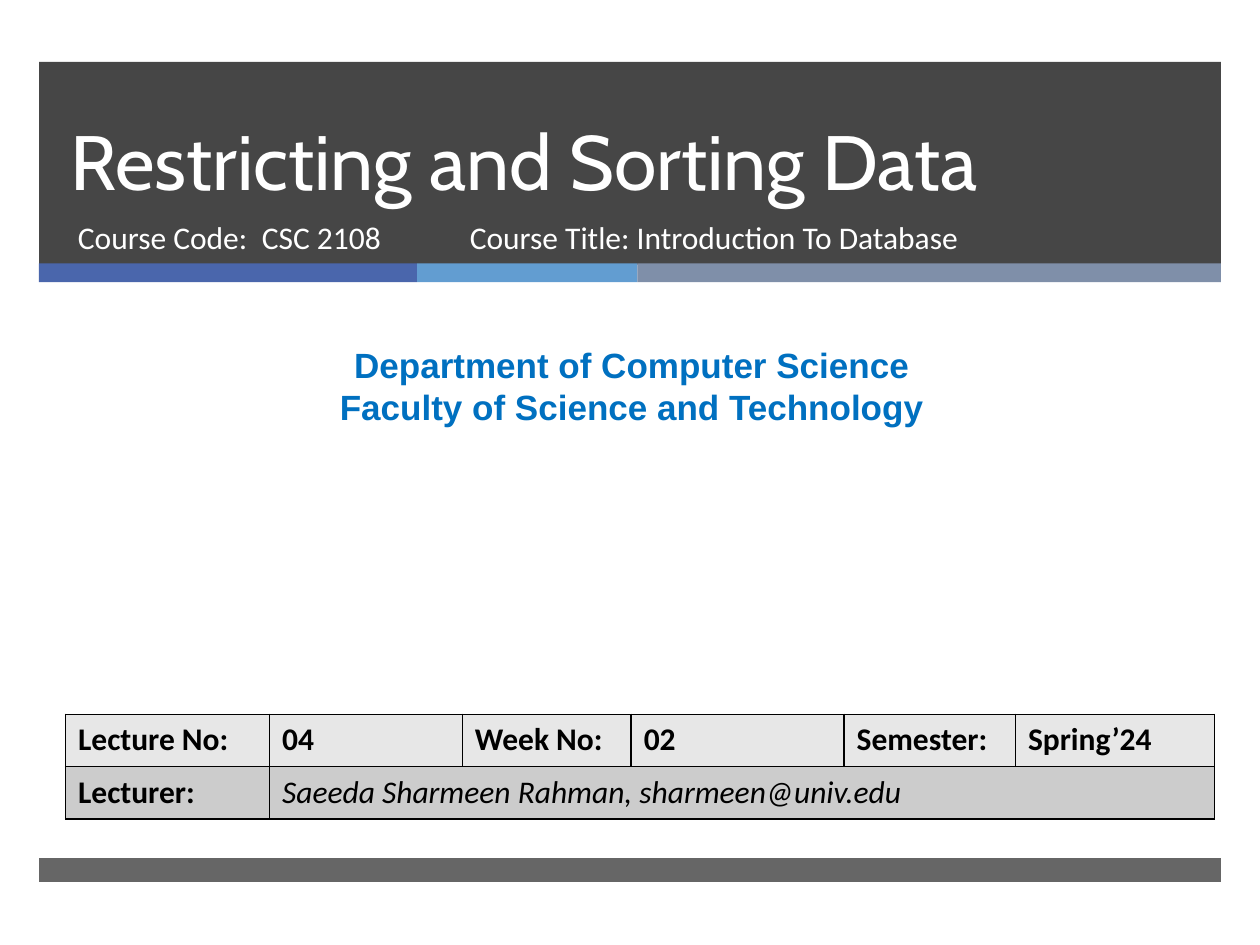
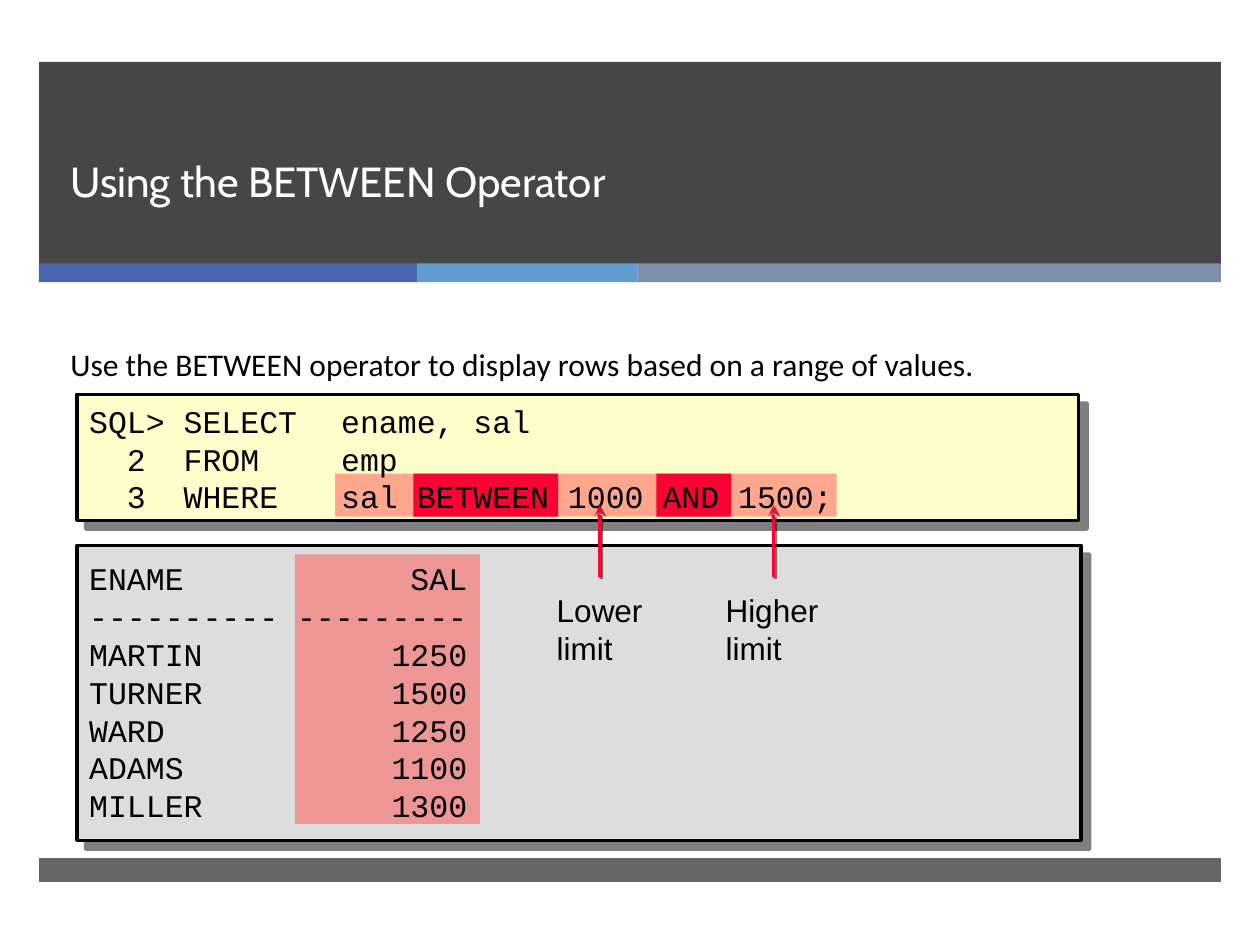
import pptx
import pptx.util
import pptx.dml.color
import pptx.enum.shapes
import pptx.enum.text
import pptx.oxml.ns
import lxml.etree

HUES = {
    "dark": "262626", "white": "FFFFFF", "black": "000000",
    "blue": "4A66AC", "sky": "629DD1", "slate": "7F8FA9", "dept": "0070C0",
    "pale": "E7E7E7", "grey": "CCCCCC", "cream": "FFFFCC", "ash": "DDDDDD",
    "pink": "FF5050", "red": "FF0033",
}
COLS, ROWS = 100, 75
LEAD = 1.2
qn = pptx.oxml.ns.qn


def node(base, tag, **attrs):
    return lxml.etree.SubElement(base, qn(tag), {k: str(v) for k, v in attrs.items()})


def tint(base, hue, share=100):
    color = node(node(base, "a:solidFill"), "a:srgbClr", val=HUES[hue])
    if share < 100:
        node(color, "a:alpha", val=share * 1000)


class Deck:
    def __init__(self):
        self.prs = pptx.Presentation()
        self.prs.slide_width = pptx.util.Inches(10)
        self.prs.slide_height = pptx.util.Inches(7.5)
        self.slide = None

    def x(self, col):
        return round(self.prs.slide_width * col / COLS)

    def y(self, row):
        return round(self.prs.slide_height * row / ROWS)

    def box(self, area):
        left, top, width, height = area
        return self.x(left), self.y(top), self.x(width), self.y(height)

    def rgb(self, hue):
        return pptx.dml.color.RGBColor.from_string(HUES[hue])

    def style(self, para, size, face, hue, bold=False, slant=False):
        font = para.font
        font.size, font.name = pptx.util.Pt(size), face
        font.bold, font.italic = bold, slant
        font.color.rgb = self.rgb(hue)

    def shade(self, item, gap):
        effect = node(item._element.spPr, "a:effectLst")
        drop = node(effect, "a:outerShdw", blurRad=0, dist=pptx.util.Pt(gap),
                    dir=45 * 60000, algn="ctr", rotWithShape=0)
        node(node(drop, "a:srgbClr", val=HUES["black"]), "a:alpha", val=50000)

    def rect(self, area, hue, share=100):
        item = self.slide.shapes.add_shape(
            pptx.enum.shapes.MSO_SHAPE.RECTANGLE, *self.box(area))
        item.shadow.inherit = False
        item.fill.solid()
        item.fill.fore_color.rgb = self.rgb(hue)
        if share < 100:
            color = item._element.spPr.find(qn("a:solidFill"))[0]
            node(color, "a:alpha", val=share * 1000)
        item.line.fill.background()
        return item

    def panel(self, area, hue):
        item = self.rect(area, hue)
        item.line.color.rgb = self.rgb("black")
        item.line.width = pptx.util.Pt(2)
        item.shadow.inherit = True
        self.shade(item, 7.1)

    def text(self, area, lines, size, face, hue, bold=False, lead=None,
             stops=(), center=False, low=False):
        frame = self.slide.shapes.add_textbox(*self.box(area)).text_frame
        frame.word_wrap = True
        if low:
            frame.vertical_anchor = pptx.enum.text.MSO_ANCHOR.BOTTOM
        frame.text = "\n".join(lines)
        for para in frame.paragraphs:
            if lead:
                para.line_spacing = pptx.util.Pt(lead)
            if center:
                para.alignment = pptx.enum.text.PP_ALIGN.CENTER
            if stops:
                tabs = node(para._p.get_or_add_pPr(), "a:tabLst")
                for col, side in stops:
                    node(tabs, "a:tab", pos=self.x(col), algn=side)
            self.style(para, size, face, hue, bold)

    def code(self, area, lines, stops):
        self.text(area, lines, 18, "Courier New", "black", lead=18 * LEAD, stops=stops)

    def arrow(self, col, start, end):
        line = self.slide.shapes.add_connector(
            pptx.enum.shapes.MSO_CONNECTOR.STRAIGHT,
            self.x(col), self.y(start), self.x(col), self.y(end))
        line.line.color.rgb = self.rgb("red")
        line.line.width = pptx.util.Pt(2)
        node(line.line._get_or_add_ln(), "a:tailEnd", type="stealth")
        self.shade(line, 1.4)

    def cell(self, cell, words, hue, slant=False):
        cell.text = words
        self.style(cell.text_frame.paragraphs[0], 18, "Calibri", "black", not slant, slant)
        self.edge(cell)
        cell.fill.solid()
        cell.fill.fore_color.rgb = self.rgb(hue)

    def edge(self, cell):
        props = cell._tc.get_or_add_tcPr()
        for side in ("a:lnL", "a:lnR", "a:lnT", "a:lnB"):
            tint(node(props, side, w=pptx.util.Pt(1)), "black")

    def table(self, area, widths, rows, hues):
        grid = self.slide.shapes.add_table(len(rows), len(widths), *self.box(area)).table
        grid.first_row = grid.horz_banding = False
        for col, width in zip(grid.columns, widths):
            col.width = self.x(width)
        for r, (row, hue) in enumerate(zip(rows, hues)):
            for c in range(len(widths)):
                words = row[c] if c < len(row) else ""
                self.cell(grid.cell(r, c), words, hue, slant=r == 1 and c > 0)
            if len(row) < len(widths):
                grid.cell(r, len(row) - 1).merge(grid.cell(r, len(widths) - 1))

    def page(self, title, size):
        self.slide = self.prs.slides.add_slide(self.prs.slide_layouts[6])
        self.rect((3.1, 4.9, 93.8, 16.1), "dark", 85)
        left = 3.1
        for hue, width in (("blue", 30), ("sky", 17.5), ("slate", 46.3)):
            self.rect((left, 20.9, width, 1.5), hue)
            left += width
        self.rect((3.1, 68.1, 93.8, 1.9), "dark", 70)
        self.text((4.6, 4.9, 85.4, 11.9), [title], size, "Cabin", "white",
                  lead=46, low=True)


def cover(deck):
    deck.page("Restricting and Sorting Data", 44)
    deck.text((5.2, 16.8, 30.5, 5.3), ["Course Code:\tCSC 2108"],
              18, "Calibri", "white", stops=[(14.6, "l")])
    deck.text((36.3, 16.8, 45.5, 5.3), ["Course Title: Introduction To Database"],
              18, "Calibri", "white")
    deck.text((0.8, 26.8, 98.7, 7.7),
              ["Department of Computer Science", "Faculty of Science and Technology"],
              20, "Arial", "dept", bold=True, lead=20 * LEAD, center=True)
    deck.table((5.2, 56.7, 91.2, 8.3), (16.2, 15.3, 13.4, 16.9, 13.6, 15.8),
               (("Lecture No:", "04", "Week No:", "02", "Semester:", "Spring’24"),
                ("Lecturer:", "Saeeda Sharmeen Rahman, sharmeen@univ.edu")),
               ("pale", "grey"))


def between(deck):
    deck.page("Using the BETWEEN Operator", 24)
    deck.text((4.6, 26.9, 81.2, 4),
              ["Use the BETWEEN operator to display rows based on a range of values."],
              18, "Calibri", "black")
    deck.panel((6.1, 31.3, 79.5, 10), "cream")
    deck.panel((6.1, 43.3, 79.7, 23.4), "ash")
    deck.rect((26.6, 37.6, 39.8, 3.4), "pink", 50)
    deck.rect((23.4, 44, 14.7, 21.4), "pink", 50)
    staff = (("ENAME", "SAL"), ("-" * 10, "-" * 9), ("MARTIN", "1250"),
             ("TURNER", "1500"), ("WARD", "1250"), ("ADAMS", "1100"), ("MILLER", "1300"))
    deck.code((6.1, 43.9, 79.7, 22.2), ["\t".join(row) for row in staff], [(30, "r")])
    for left, width in ((32.8, 11.5), (52.1, 5.9)):
        deck.rect((left, 37.6, width, 3.4), "red")
    deck.code((6.1, 31.4, 79.7, 10),
              ["SQL>\tSELECT\tename, sal", "\t2\tFROM\temp",
               "\t3\tWHERE\tsal BETWEEN 1000 AND 1500;"],
              [(3, "l"), (7.5, "l"), (20, "l")])
    for word, left, mid in (("Lower", 43.2, 47.6), ("Higher", 56.6, 61.4)):
        deck.text((left, 46.4, 9.9, 7), [word, "limit"], 18, "Arial", "black",
                  lead=18 * LEAD)
        deck.arrow(mid, 45.8, 40.1)


def main():
    deck = Deck()
    cover(deck)
    between(deck)
    deck.prs.save("out.pptx")


if __name__ == "__main__":
    main()
